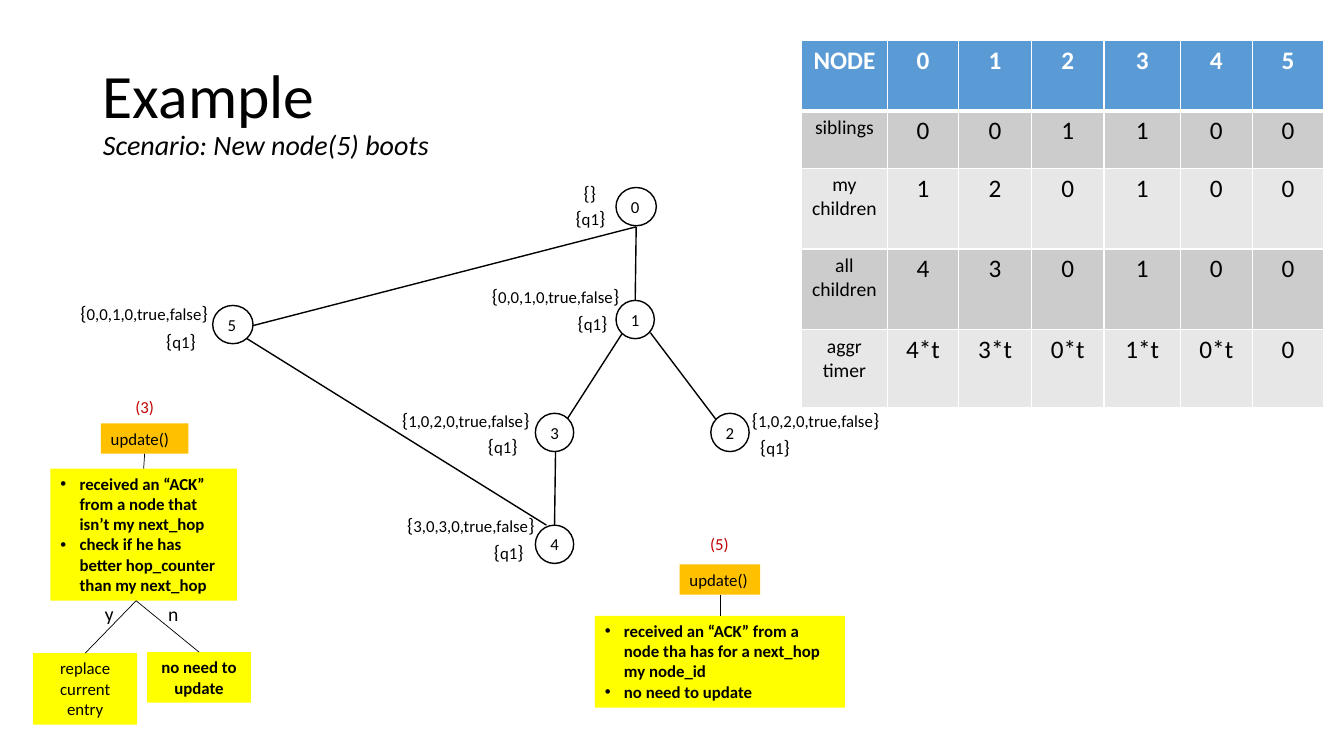
"""Builds the routing tree example slide for a newly booted node."""
import dataclasses
import lxml.etree
import pptx
import pptx.dml.color
import pptx.enum.shapes
import pptx.enum.text
import pptx.oxml.ns
import pptx.util

Inches = pptx.util.Inches
SHAPE = pptx.enum.shapes.MSO_SHAPE
ALIGN = pptx.enum.text.PP_ALIGN
ANCHOR = pptx.enum.text.MSO_ANCHOR
AUTO_SIZE = pptx.enum.text.MSO_AUTO_SIZE

@dataclasses.dataclass(frozen=True)
class Theme:
    """Colours and type sizes of the slide."""
    font: str = "Calibri"
    ink: str = "000000"
    paper: str = "FFFFFF"
    step: str = "C00000"
    call: str = "FFC000"
    note: str = "FFFF00"
    header: str = "5B9BD5"
    bands: tuple = ("CCCCCC", "E7E7E7")
    title: int = 44
    subtitle: int = 20
    figure: int = 18
    label: int = 14
    body: int = 12

THEME = Theme()
NODES = {"0": (6.11, 1.86, 0.4), "1": (6.11, 2.98, 0.38), "2": (7.05, 4.1, 0.38),
         "3": (5.31, 4.1, 0.38), "4": (5.31, 5.21, 0.38), "5": (2.11, 3.03, 0.4)}
LINKS = [((6.31, 2.25), (6.3, 2.98)), ((6.17, 3.31), (5.63, 4.15)),
         ((6.45, 3.3), (7.1, 4.16)), ((5.51, 4.48), (5.5, 5.21)),
         ((6.31, 2.25), (2.51, 3.23)), ((5.42, 5.21), (2.45, 3.36))]
STATES = [("", (5.69, 1.75), (5.61, 1.99)),
          ("0,0,1,0,true,false", (4.78, 2.77), (5.63, 3.04)),
          ("1,0,2,0,true,false", (7.36, 4), (7.44, 4.27)),
          ("1,0,2,0,true,false", (3.89, 4), (4.74, 4.26)),
          ("3,0,3,0,true,false", (3.94, 5.04), (4.8, 5.31)),
          ("0,0,1,0,true,false", (0.7, 2.94), (1.55, 3.21))]
COLUMN_WIDTHS = [0.85, 0.71, 0.72, 0.72, 0.76, 0.71, 0.71]
ROW_HEIGHTS = [0.7, 0.57, 0.8, 0.8, 0.77]
COUNTERS = [["NODE", "0", "1", "2", "3", "4", "5"],
            ["siblings", "0", "0", "1", "1", "0", "0"],
            ["my children", "1", "2", "0", "1", "0", "0"],
            ["all children", "4", "3", "0", "1", "0", "0"],
            ["aggr\ntimer", "4*t", "3*t", "0*t", "1*t", "0*t", "0"]]

def rgb(value):
    """Turn a hex string into a colour."""
    return pptx.dml.color.RGBColor.from_string(value)

def add_element(parent, tag, **attributes):
    """Append a drawing element."""
    return lxml.etree.SubElement(parent, pptx.oxml.ns.qn(tag), **attributes)

def add_run(paragraph, text, size=THEME.body, color=THEME.ink, bold=False, italic=False):
    """Append formatted text to a paragraph."""
    run = paragraph.add_run()
    run.text = text
    run.font.name, run.font.size = THEME.font, pptx.util.Pt(size)
    run.font.bold, run.font.italic = bold, italic
    run.font.color.rgb = rgb(color)

def write(frame, text, align=ALIGN.LEFT, bullets=False, **style):
    """Fill a text frame, one paragraph a line."""
    for index, line in enumerate(text.split("\n")):
        paragraph = frame.add_paragraph() if index else frame.paragraphs[0]
        paragraph.alignment = align
        if bullets:
            properties = paragraph._p.get_or_add_pPr()
            properties.set("marL", str(Inches(0.19)))
            properties.set("indent", str(-Inches(0.19)))
            add_element(properties, "a:buFont", typeface="Arial")
            add_element(properties, "a:buChar", char="•")
        add_run(paragraph, line, **style)

def add_label(shapes, text, left, top, width, height=0.3, **style):
    """Place free-standing text."""
    label = shapes.add_textbox(*map(Inches, (left, top, width, height)))
    label.text_frame.word_wrap = True
    label.text_frame.margin_right = 0
    label.text_frame.auto_size = AUTO_SIZE.SHAPE_TO_FIT_TEXT
    write(label.text_frame, text, **style)
    return label

def add_braced(shapes, text, place, width):
    """Place a value between larger braces."""
    label = add_label(shapes, "{", *place, width, 0.34, size=THEME.label)
    paragraph = label.text_frame.paragraphs[0]
    if text:
        add_run(paragraph, text)
    add_run(paragraph, "}", size=THEME.label)

def add_solid(shapes, kind, fill, place):
    """Place a flat shape with a plain fill."""
    solid = shapes.add_shape(kind, *map(Inches, place))
    solid.shadow.inherit = False
    solid.fill.solid()
    solid.fill.fore_color.rgb = rgb(fill)
    return solid

def add_box(shapes, text, fill, place, **style):
    """Place a filled rectangle with text."""
    box = add_solid(shapes, SHAPE.RECTANGLE, fill, place)
    box.line.fill.background()
    box.text_frame.word_wrap = True
    box.text_frame.vertical_anchor = ANCHOR.TOP
    box.text_frame.auto_size = AUTO_SIZE.SHAPE_TO_FIT_TEXT
    write(box.text_frame, text, **style)
    return box

def add_line(shapes, start, end, weight=1.0):
    """Draw a straight line between two points."""
    line = shapes.add_connector(
        pptx.enum.shapes.MSO_CONNECTOR.STRAIGHT, *map(Inches, (*start, *end)))
    line.line.width = pptx.util.Pt(weight)
    line.line.color.rgb = rgb(THEME.ink)
    add_element(line._element.spPr, "a:effectLst")
    return line

def add_node(shapes, number, left, top, width):
    """Draw a numbered tree node."""
    circle = add_solid(shapes, SHAPE.OVAL, THEME.paper, (left, top, width, 0.38))
    circle.line.color.rgb = rgb(THEME.ink)
    circle.line.width = pptx.util.Pt(1)
    add_label(shapes, number, left + 0.05, top + 0.04, 0.26)

def add_update(shapes, step, step_place, call_place, notes, notes_place):
    """Draw a numbered update call joined to its notes."""
    add_box(shapes, step, THEME.paper, step_place, align=ALIGN.CENTER, color=THEME.step)
    call = add_box(shapes, "update()", THEME.call, call_place)
    details = add_box(shapes, notes, THEME.note, notes_place, bullets=True, bold=True)
    middle = call_place[0] + call_place[2] / 2
    stem = add_line(shapes, (middle, call_place[1] + 0.3), (middle, notes_place[1]), 0.5)
    stem.begin_connect(call, 2)
    stem.end_connect(details, 0)

def add_outcome(shapes, text, place, bold):
    """Draw an outcome box and its branch from the decision."""
    outcome = add_box(shapes, text, THEME.note, place, align=ALIGN.CENTER, bold=bold)
    branch = add_line(shapes, (1.35, 5.96), (place[0] + place[2] / 2, place[1]), 0.5)
    branch.end_connect(outcome, 0)

def add_counters(shapes):
    """Draw the table of counters per node."""
    place = (7.95, 0.4, sum(COLUMN_WIDTHS), sum(ROW_HEIGHTS))
    table = shapes.add_table(len(ROW_HEIGHTS), len(COLUMN_WIDTHS), *map(Inches, place)).table
    for column, width in zip(table.columns, COLUMN_WIDTHS):
        column.width = Inches(width)
    for r, (height, values) in enumerate(zip(ROW_HEIGHTS, COUNTERS)):
        table.rows[r].height = Inches(height)
        for c, value in enumerate(values):
            cell = table.cell(r, c)
            if r == 0:
                rule = add_element(cell._tc.get_or_add_tcPr(), "a:lnB", w=str(pptx.util.Pt(3)))
                add_element(add_element(rule, "a:solidFill"), "a:srgbClr", val=THEME.paper)
            cell.fill.solid()
            cell.fill.fore_color.rgb = rgb(THEME.bands[(r - 1) % 2] if r else THEME.header)
            write(cell.text_frame, value, align=ALIGN.CENTER, bold=r == 0,
                  size=THEME.label if r and c == 0 else THEME.figure,
                  color=THEME.ink if r else THEME.paper)

def add_title(title):
    """Place the title with its scenario line."""
    title.left, title.top, title.width, title.height = map(Inches, (0.92, 0.4, 3.44, 1.45))
    title.text_frame.auto_size = AUTO_SIZE.NONE
    title.text_frame.vertical_anchor = ANCHOR.MIDDLE
    write(title.text_frame, "Example", size=THEME.title)
    heading = title.text_frame.paragraphs[0]
    heading.line_spacing = 0.9
    heading.add_line_break()
    add_run(heading, "Scenario: New node(5) boots", size=THEME.subtitle, italic=True)

def main():
    """Build and save the slide."""
    deck = pptx.Presentation()
    deck.slide_width, deck.slide_height = Inches(13.33), Inches(7.5)
    shapes = deck.slides.add_slide(deck.slide_layouts[5]).shapes
    add_title(shapes.title)
    for number, place in NODES.items():
        add_node(shapes, number, *place)
    for start, end in LINKS:
        add_line(shapes, start, end)
    for state, state_place, queue_place in STATES:
        add_braced(shapes, state, state_place, 1.74 if state else 0.4)
        add_braced(shapes, "q1", queue_place, 0.49)
    add_update(shapes.add_group_shape().shapes, "(5)", (6.93, 5.25, 0.41, 0.3), (6.74, 5.6, 0.8, 0.3),
               "received an “ACK” from a node tha has for a next_hop my node_id\nno need to update",
               (5.9, 6.11, 2.48, 0.91))
    decision = shapes.add_group_shape().shapes
    add_update(decision, "(3)", (1.23, 3.89, 0.41, 0.3), (1, 4.2, 0.87, 0.3),
               "received an “ACK” from a node that isn’t my next_hop\n"
               "check if he has better hop_counter than my next_hop", (0.5, 4.65, 1.85, 1.31))
    add_outcome(decision, "no need to update", (1.46, 6.47, 1.03, 0.5), True)
    add_outcome(decision, "replace current entry", (0.33, 6.48, 1.03, 0.71), False)
    add_label(decision, "n", 1.57, 5.92, 0.25, 0.34, size=THEME.label)
    add_label(decision, "y", 0.94, 5.92, 0.25, 0.34, size=THEME.label).rotation = 357.3
    add_counters(shapes)
    deck.save("out.pptx")

if __name__ == "__main__":
    main()
